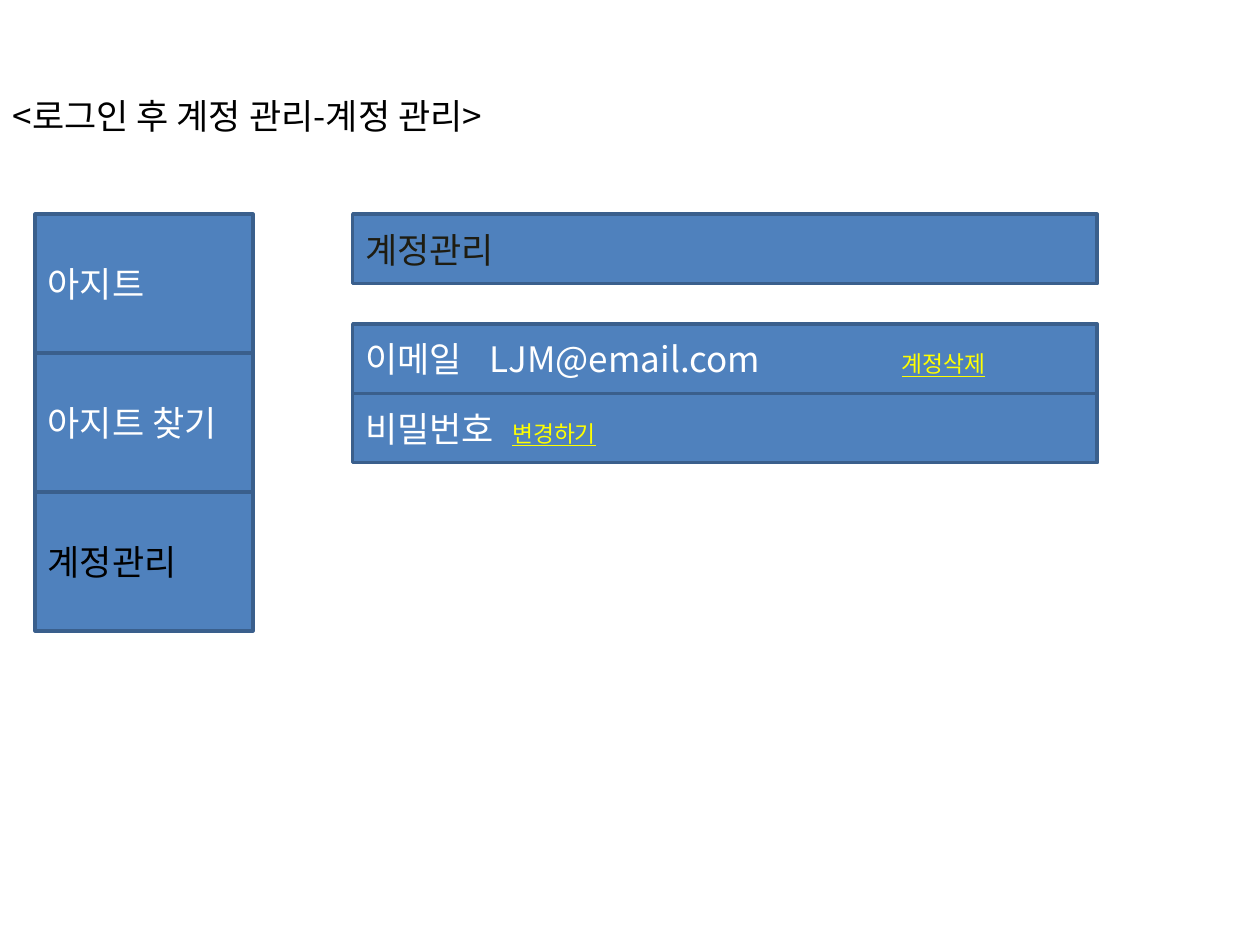
"""Builds the account management screen slide."""
from pptx import Presentation
from pptx import util as u
from pptx.dml.color import RGBColor
from pptx.enum import shapes, text
from pptx.oxml.ns import qn
from lxml import etree

FONT = "Noto Sans CJK KR"
HUES = {"fill": "4F81BD", "edge": "3A5F8C", "white": "FFFFFF",
        "black": "000000", "dark": "1E1C11", "link": "FFFF00"}
TITLE = "<로그인 후 계정 관리-계정 관리>"
MENU = [("아지트", "white"), ("아지트 찾기", "white"), ("계정관리", "black")]
HEAD = ("계정관리", "dark")
ROWS = [("이메일\tLJM@email.com\t", "계정삭제", (2.51, 10.82)),
        ("비밀번호\t", "변경하기", (2.97,))]
TOP, ROW, CELL = 4.32, 1.4, 2.8
LEFT, SIDE = 0.71, 4.39
MAIN, WIDE = 7.11, 15.01
LIST = 6.53


def color(name):
    return RGBColor.from_string(HUES[name])


def write(frame, words, hue="white", size=20, line=False):
    para = frame.paragraphs[0]
    para.alignment = text.PP_ALIGN.LEFT
    run = para.add_run()
    run.text = words
    font = run.font
    font.name, font.size = FONT, u.Pt(size)
    font.color.rgb = color(hue)
    if line:
        font.underline = True
    east = etree.SubElement(font._element, qn("a:ea"))
    east.set("typeface", FONT)
    frame.vertical_anchor = text.MSO_ANCHOR.MIDDLE
    frame.word_wrap = True


def place(shape, *box):
    shape.left, shape.top, shape.width, shape.height = map(u.Cm, box)


def box(slide, *area):
    rect = slide.shapes.add_shape(shapes.MSO_SHAPE.RECTANGLE, *map(u.Cm, area))
    rect.shadow.inherit = False
    rect.fill.solid()
    rect.fill.fore_color.rgb = color("fill")
    rect.line.color.rgb = color("edge")
    rect.line.width = u.Pt(2)
    return rect.text_frame


def tabs(frame, stops):
    props = frame.paragraphs[0]._p.get_or_add_pPr()
    items = etree.SubElement(props, qn("a:tabLst"))
    for stop in stops:
        etree.SubElement(items, qn("a:tab"), pos=str(int(u.Cm(stop))), algn="l")


deck = Presentation()
deck.slide_width, deck.slide_height = u.Cm(25.4), u.Cm(19.05)
slide = deck.slides.add_slide(deck.slide_layouts[5])
title = slide.shapes.title
place(title, 0, 1.32, 23.09, 2.01)
write(title.text_frame, TITLE, "black")

for i, (words, hue) in enumerate(MENU):
    write(box(slide, LEFT, TOP + i * CELL, SIDE, CELL), words, hue)

write(box(slide, MAIN, TOP, WIDE, ROW), *HEAD)

for i, (words, link, stops) in enumerate(ROWS):
    frame = box(slide, MAIN, LIST + i * ROW, WIDE, ROW)
    write(frame, words)
    write(frame, link, "link", size=13, line=True)
    tabs(frame, stops)

deck.save("out.pptx")
